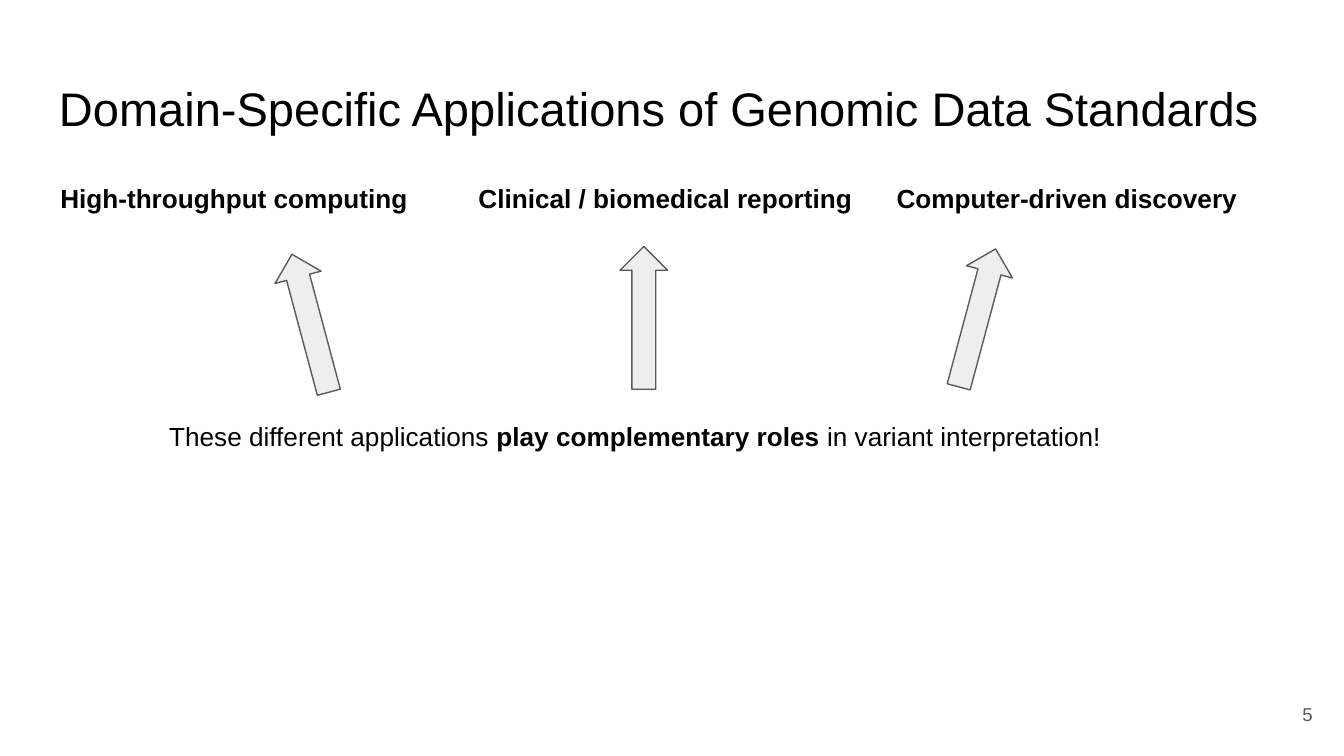
from pptx import Presentation
from pptx.dml.color import RGBColor
from pptx.enum.shapes import MSO_SHAPE
from pptx.enum.text import MSO_ANCHOR, PP_ALIGN
from pptx.util import Pt

ARROW = MSO_SHAPE.RIGHT_ARROW
TOP, MIDDLE = MSO_ANCHOR.TOP, MSO_ANCHOR.MIDDLE
LEFT, RIGHT = PP_ALIGN.LEFT, PP_ALIGN.RIGHT
COLORS = {"text": "000000", "gray": "595959", "fill": "EEEEEE"}


class SlideBuilder:
    font = "Arial"
    inset = 7.2

    def __init__(self, slide):
        self.s = slide

    def color(self, name):
        return RGBColor.from_string(COLORS[name])

    def text(self, x, y, w, h, runs, size, color="text", align=LEFT, anchor=TOP):
        """Add a one-paragraph box; runs is a list of (text, bold)."""
        tf = self.s.shapes.add_textbox(Pt(x), Pt(y), Pt(w), Pt(h)).text_frame
        tf.word_wrap = True
        tf.vertical_anchor = anchor
        tf.margin_left = tf.margin_right = Pt(self.inset)
        tf.margin_top = tf.margin_bottom = Pt(self.inset)
        p = tf.paragraphs[0]
        p.alignment = align
        p.font.name = self.font
        p.font.size = Pt(size)
        p.font.color.rgb = self.color(color)
        for words, bold in runs:
            r = p.add_run()
            r.text = words
            r.font.bold = bold

    def arrow(self, cx, cy, length, thickness, angle):
        """Add a block arrow centred on (cx, cy)."""
        sp = self.s.shapes.add_shape(
            ARROW, Pt(cx - length / 2), Pt(cy - thickness / 2),
            Pt(length), Pt(thickness))
        sp.rotation = angle
        sp.shadow.inherit = False
        sp.fill.solid()
        sp.fill.fore_color.rgb = self.color("fill")
        sp.line.color.rgb = self.color("gray")
        sp.line.width = Pt(0.75)


def main():
    prs = Presentation()
    prs.slide_width, prs.slide_height = Pt(720), Pt(405)
    b = SlideBuilder(prs.slides.add_slide(prs.slide_layouts[6]))

    # Page number and title
    b.text(667.1, 367.2, 43.2, 31, [("5", False)], 10, "gray", RIGHT, MIDDLE)
    b.text(24.5, 35.4, 671, 45.1,
           [("Domain-Specific Applications of Genomic Data Standards", False)], 25.2)

    # Three application headings
    headings = ["High-throughput computing", "Clinical / biomedical reporting",
                "Computer-driven discovery"]
    for i, heading in enumerate(headings):
        b.text(25.2 + 224 * i, 90.7, 222.5, 31.7, [(heading, True)], 14)

    # Shared conclusion
    b.text(83.5, 218.2, 553.7, 31.7,
           [("These different applications ", False),
            ("play complementary roles", True),
            (" in variant interpretation!", False)], 14)

    # Arrows fanning out from the conclusion to the headings
    for i, cy in enumerate([173.2, 170.3, 170.3]):
        b.arrow(166.3 + 178.6 * i, cy, 76.5, 25.5, 255 + 15 * i)

    prs.save("out.pptx")


if __name__ == "__main__":
    main()
